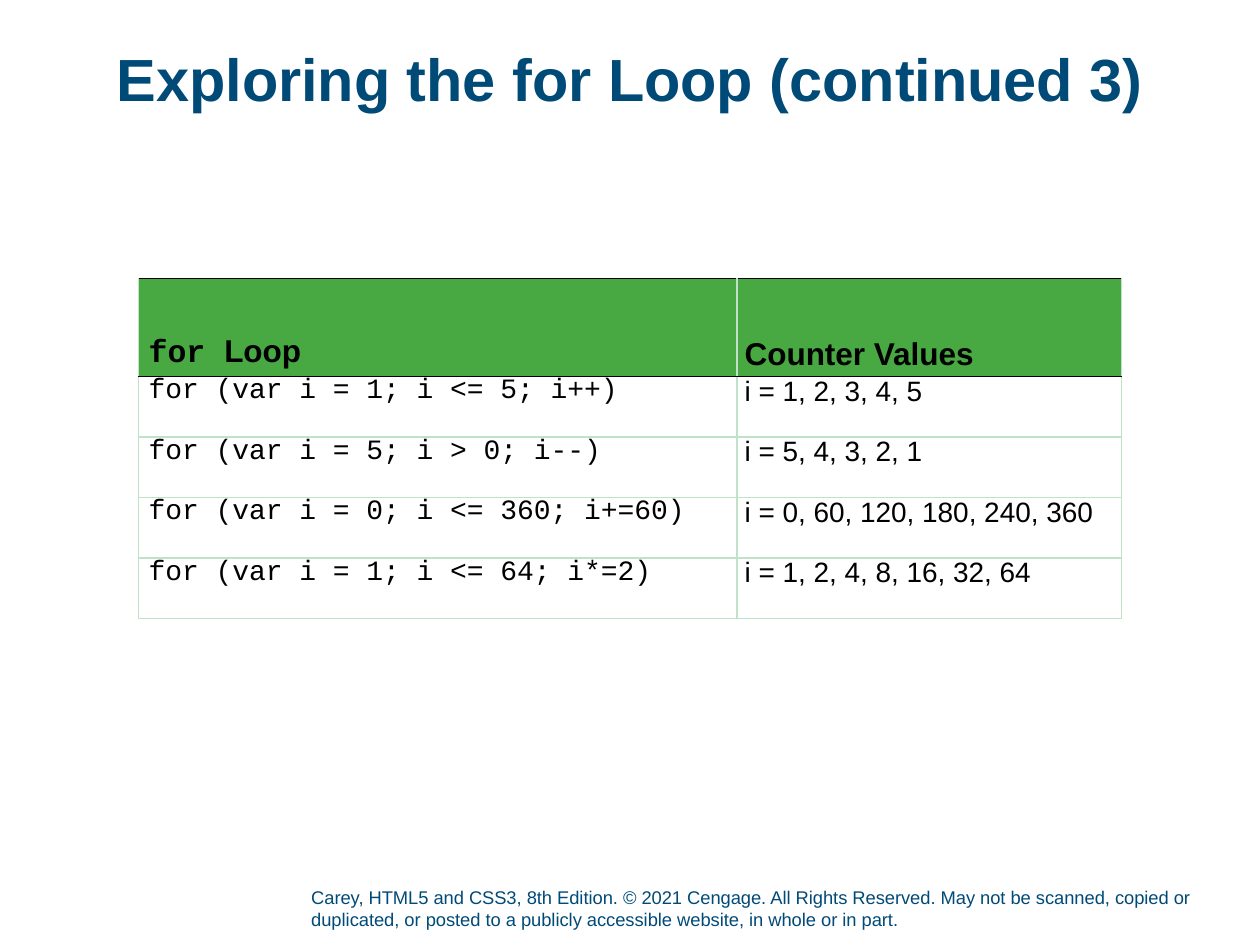
from dataclasses import dataclass

from lxml.etree import SubElement
from pptx import Presentation
from pptx.dml.color import RGBColor
from pptx.enum.text import MSO_ANCHOR as Anchor, MSO_AUTO_SIZE as AutoSize, PP_ALIGN as Align
from pptx.oxml.ns import qn
from pptx.util import Inches, Pt

NAVY = RGBColor(0x00, 0x4A, 0x78)
BLACK = RGBColor(0x00, 0x00, 0x00)
WHITE = RGBColor(0xFF, 0xFF, 0xFF)
GREEN = RGBColor(0x48, 0xA8, 0x41)
MINT = RGBColor(0xBF, 0xE2, 0xC9)

BODY_FONT = "Arial"
CODE_FONT = "Courier New"
COLUMN_WIDTHS = (4.75, 3.05)
HEADER_HEIGHT = 0.78
LOOP_HEIGHT = 0.48
CELL_LEFT_MARGINS = (0.08, 0.06)


@dataclass(frozen=True)
class Loop:
    code: str
    counter: str


LOOPS = (
    Loop("for (var i = 1; i <= 5; i++)", "i = 1, 2, 3, 4, 5"),
    Loop("for (var i = 5; i > 0; i--)", "i = 5, 4, 3, 2, 1"),
    Loop("for (var i = 0; i <= 360; i+=60)", "i = 0, 60, 120, 180, 240, 360"),
    Loop("for (var i = 1; i <= 64; i*=2)", "i = 1, 2, 4, 8, 16, 32, 64"),
)


def write(frame, text: str, *, size: float, color: RGBColor = BLACK, font: str = BODY_FONT,
          bold: bool = False, align: Align = Align.LEFT, spacing=None) -> None:
    paragraph = frame.paragraphs[0]
    paragraph.alignment = align
    paragraph.line_spacing = spacing
    paragraph.space_before = Pt(0)
    run = paragraph.add_run()
    run.text = text
    run.font.name = font
    run.font.size = Pt(size)
    run.font.bold = bold
    run.font.color.rgb = color


def set_margins(box, left: float, top: float, right: float, bottom: float) -> None:
    box.margin_left, box.margin_top = Inches(left), Inches(top)
    box.margin_right, box.margin_bottom = Inches(right), Inches(bottom)


def style_cell(cell, column: int, *, fill: RGBColor, top: float, bottom: float,
               anchor: Anchor, top_line: RGBColor, bottom_line: RGBColor) -> None:
    set_margins(cell, CELL_LEFT_MARGINS[column], top, 0.08, bottom)
    cell.vertical_anchor = anchor
    properties = cell._tc.get_or_add_tcPr()
    borders = {"a:lnL": MINT, "a:lnR": MINT, "a:lnT": top_line, "a:lnB": bottom_line}
    for tag, color in borders.items():
        line = SubElement(properties, qn(tag), w=str(Pt(1)))
        SubElement(SubElement(line, qn("a:solidFill")), qn("a:srgbClr"), val=str(color))
    cell.fill.solid()
    cell.fill.fore_color.rgb = fill


def add_title(slide) -> None:
    title = slide.shapes.title
    title.left, title.top = Inches(0.69), Inches(0.4)
    title.width, title.height = Inches(8.62), Inches(0.74)
    frame = title.text_frame
    frame.auto_size = AutoSize.NONE
    frame.vertical_anchor = Anchor.TOP
    set_margins(frame, 0, 0, 0, 0)
    write(frame, "Exploring the for Loop (continued 3)", size=34, color=NAVY,
          bold=True, align=Align.CENTER, spacing=0.9)


def add_loop_table(slide) -> None:
    height = HEADER_HEIGHT + LOOP_HEIGHT * len(LOOPS)
    table = slide.shapes.add_table(len(LOOPS) + 1, 2, Inches(1.1), Inches(2.21),
                                   Inches(sum(COLUMN_WIDTHS)), Inches(height)).table
    table.horz_banding = False
    for column, width in zip(table.columns, COLUMN_WIDTHS):
        column.width = Inches(width)
    for index, row in enumerate(table.rows):
        row.height = Inches(LOOP_HEIGHT if index else HEADER_HEIGHT)

    loop_header, counter_header = table.rows[0].cells
    for column, cell in enumerate((loop_header, counter_header)):
        style_cell(cell, column, fill=GREEN, top=0.21, bottom=0.04, anchor=Anchor.BOTTOM,
                   top_line=BLACK, bottom_line=BLACK)
    header_format = dict(size=18, bold=True, spacing=Pt(13))
    write(loop_header.text_frame, "for ", font=CODE_FONT, **header_format)
    write(loop_header.text_frame, "Loop", **header_format)
    write(counter_header.text_frame, "Counter Values", **header_format)

    for index, loop in enumerate(LOOPS, start=1):
        contents = ((loop.code, CODE_FONT), (loop.counter, BODY_FONT))
        for column, (text, font) in enumerate(contents):
            cell = table.cell(index, column)
            style_cell(cell, column, fill=WHITE, top=0.06, bottom=0.06, anchor=Anchor.TOP,
                       top_line=BLACK if index == 1 else MINT, bottom_line=MINT)
            write(cell.text_frame, text, size=16, font=font, spacing=Pt(13))


def add_copyright(slide) -> None:
    frame = slide.shapes.add_textbox(Inches(2.47), Inches(7.03),
                                     Inches(7.35), Inches(0.4)).text_frame
    frame.word_wrap = True
    frame.auto_size = AutoSize.SHAPE_TO_FIT_TEXT
    frame.vertical_anchor = Anchor.BOTTOM
    set_margins(frame, 0, 0, 0, 0.05)
    write(frame, "Carey, HTML5 and CSS3, 8th Edition. © 2021 Cengage. All Rights Reserved. "
          "May not be scanned, copied or duplicated, or posted to a publicly accessible "
          "website, in whole or in part.", size=10.5, color=NAVY)


def main() -> None:
    presentation = Presentation()
    presentation.slide_width, presentation.slide_height = Inches(10), Inches(7.5)
    slide = presentation.slides.add_slide(presentation.slide_layouts[5])
    add_copyright(slide)
    add_title(slide)
    add_loop_table(slide)
    presentation.save("out.pptx")


if __name__ == "__main__":
    main()
